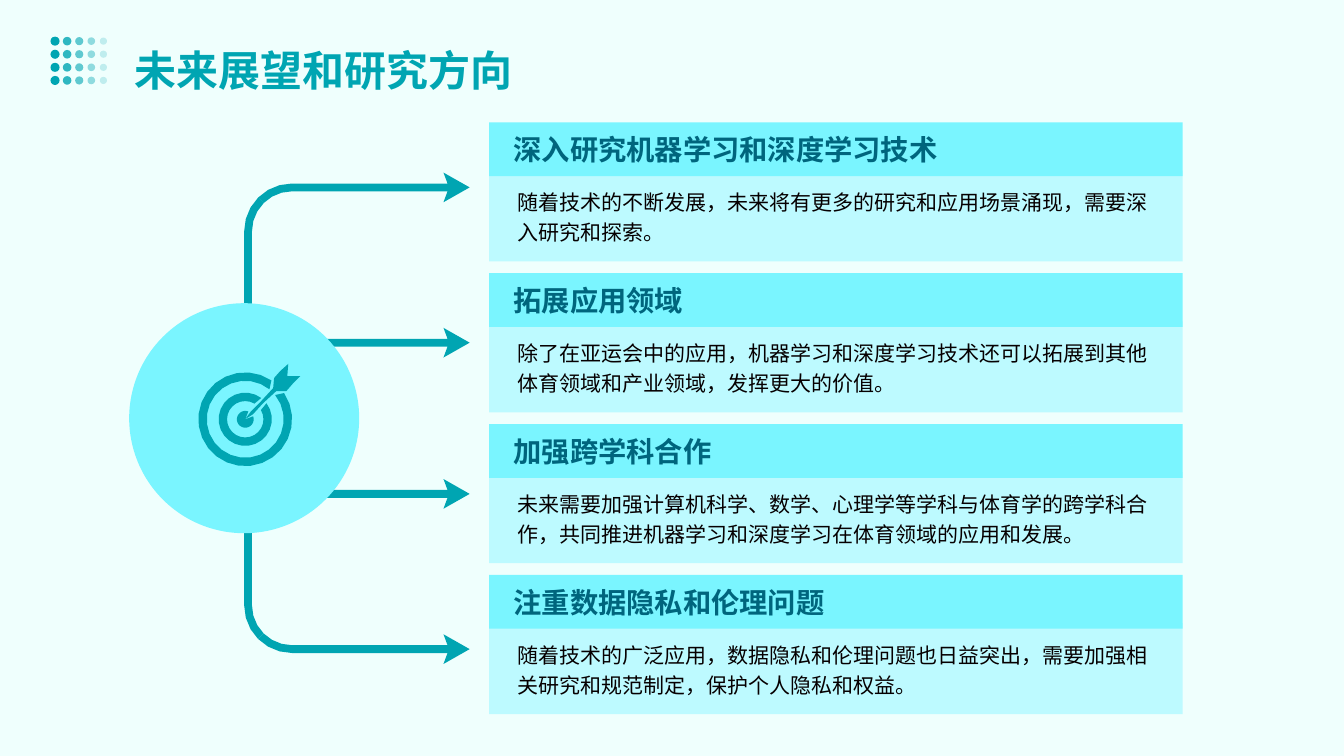
from math import cos, radians, sin

from lxml.etree import SubElement
from pptx import Presentation
from pptx.dml.color import RGBColor
from pptx.enum.shapes import MSO_SHAPE
from pptx.enum.text import MSO_ANCHOR
from pptx.oxml.ns import qn
from pptx.util import Pt

TITLE = "未来展望和研究方向"
DIRECTIONS = [
    ("深入研究机器学习和深度学习技术",
     "随着技术的不断发展，未来将有更多的研究和应用场景涌现，需要深入研究和探索。"),
    ("拓展应用领域",
     "除了在亚运会中的应用，机器学习和深度学习技术还可以拓展到其他体育领域和产业领域，发挥更大的价值。"),
    ("加强跨学科合作",
     "未来需要加强计算机科学、数学、心理学等学科与体育学的跨学科合作，共同推进机器学习和深度学习在体育领域的应用和发展。"),
    ("注重数据隐私和伦理问题",
     "随着技术的广泛应用，数据隐私和伦理问题也日益突出，需要加强相关研究和规范制定，保护个人隐私和权益。"),
]
COLORS = {
    "background": "EFFFFD", "teal": "00A5B2", "bright": "7AF5FF",
    "pale": "BDFAFF", "heading": "00657D", "body": "060001",
}
FONT = "Noto Sans CJK SC"

# Arrows: centre heights, and for bent ones the height where the stem ends
STRAIGHT_ARROWS = [244.8, 352.8]
BENT_ARROWS = [(133.9, 253.4), (463.7, 344.2)]
ARROW_LEFT, NECK_X, BARB_X, TIP_X = 174.4, 319.7, 316.8, 335.5
HALF_SHAFT, HALF_HEAD, BEND_RADIUS = 2.8, 10.6, 31.4

# Target rings: outer radius, outer half gap, inner radius, inner half gap (degrees)
TARGET_CENTER = (175.2, 299.5)
TARGET_RINGS = [(19, 8, 13, 14.5), (6, 24, 0, 0), (33.5, 11, 27.5, 6)]
GAP_ANGLE = -45
ARC_STEP = 15
DART = [(205.2, 268.6), (205.9, 259.9), (200.2, 265), (195.8, 270), (195.1, 277.2),
        (186.5, 286.6), (179.3, 293.8), (175, 299.5), (180.7, 295.9), (187.9, 288),
        (197.3, 279.4), (204.5, 279.4), (209.5, 273.6), (214.6, 268.6)]

DOT_ROWS, DOT_COLUMNS = 4, 5
CARD_LEFT, CARD_TOP, CARD_WIDTH, CARD_PITCH = 349.4, 87.4, 495.4, 107.75
TEXT_LEFT = 361.7

prs = Presentation()
prs.slide_width, prs.slide_height = Pt(960), Pt(540)
slide = prs.slides.add_slide(prs.slide_layouts[6])
slide.background.fill.solid()
slide.background.fill.fore_color.rgb = RGBColor.from_string(COLORS["background"])


def paint(shape, color, opacity=100):
    shape.shadow.inherit = False
    shape.line.fill.background()
    shape.fill.solid()
    shape.fill.fore_color.rgb = RGBColor.from_string(COLORS[color])
    if opacity < 100:
        tint = shape.fill._xPr.find(".//" + qn("a:srgbClr"))
        SubElement(tint, qn("a:alpha"), val=str(opacity * 1000))


def add_preset(kind, left, top, width, height, color, opacity=100):
    shape = slide.shapes.add_shape(kind, Pt(left), Pt(top), Pt(width), Pt(height))
    paint(shape, color, opacity)


def add_outline(points, color="teal"):
    start, *rest = [(Pt(x), Pt(y)) for x, y in points]
    builder = slide.shapes.build_freeform(*start)
    builder.add_line_segments(rest, close=True)
    paint(builder.convert_to_shape(), color)


def add_text(text, left, top, width, height, *, size, color, bold=False,
             spacing=1.2, anchor=MSO_ANCHOR.TOP, insets=(5, 3, 5, 3)):
    box = slide.shapes.add_textbox(Pt(left), Pt(top), Pt(width), Pt(height))
    frame = box.text_frame
    frame.word_wrap = True
    frame.vertical_anchor = anchor
    (frame.margin_left, frame.margin_top,
     frame.margin_right, frame.margin_bottom) = map(Pt, insets)
    paragraph = frame.paragraphs[0]
    paragraph.line_spacing = spacing
    run = paragraph.add_run()
    run.text = text
    run.font.size, run.font.bold, run.font.name = Pt(size), bold, FONT
    run.font.color.rgb = RGBColor.from_string(COLORS[color])
    SubElement(run.font._element, qn("a:ea"), typeface=FONT)


def arc(center, radius, start, end):
    """Points along a circle; a zero radius gives the centre alone."""
    if radius == 0:
        return [center]
    steps = round(abs(end - start) / ARC_STEP)
    angles = [radians(start + (end - start) * i / steps) for i in range(steps + 1)]
    return [(center[0] + radius * cos(a), center[1] + radius * sin(a)) for a in angles]


def arrow_head(y, side):
    """Head points, beginning on the given side (-1 above, 1 below) of the shaft."""
    return [(NECK_X, y + side * HALF_SHAFT), (BARB_X, y + side * HALF_HEAD), (TIP_X, y),
            (BARB_X, y - side * HALF_HEAD), (NECK_X, y - side * HALF_SHAFT)]


for y in STRAIGHT_ARROWS:
    add_outline([(ARROW_LEFT, y - HALF_SHAFT), *arrow_head(y, -1),
                 (ARROW_LEFT, y + HALF_SHAFT)])

for y, stem_end in BENT_ARROWS:
    side = -1 if y < stem_end else 1
    outer, inner = BEND_RADIUS + HALF_SHAFT, BEND_RADIUS - HALF_SHAFT
    bend = (ARROW_LEFT + outer, y - side * BEND_RADIUS)
    middle, corner = 180 - side * 45, 180 - side * 90
    add_outline([(ARROW_LEFT, stem_end), *arc(bend, outer, 180, middle),
                 *arc(bend, inner, middle, 180),
                 (ARROW_LEFT + 2 * HALF_SHAFT, stem_end)])
    add_outline([*arc(bend, outer, middle, corner), *arrow_head(y, side),
                 *arc(bend, inner, corner, middle)])

add_preset(MSO_SHAPE.OVAL, 92.3, 216.6, 164.3, 164.3, "bright")
for outer, outer_gap, inner, inner_gap in TARGET_RINGS:
    first, last = GAP_ANGLE, GAP_ANGLE + 360
    add_outline(arc(TARGET_CENTER, outer, first + outer_gap, last - outer_gap)
                + arc(TARGET_CENTER, inner, last - inner_gap, first + inner_gap))
add_outline(DART)

for row in range(DOT_ROWS):
    for column in range(DOT_COLUMNS):
        size = 6.5 - 0.35 * column
        add_preset(MSO_SHAPE.OVAL, 39.3 + 8.65 * column - size / 2,
                   29.4 + 9.36 * row - size / 2, size, size, "teal", 100 - 20 * column)

add_text(TITLE, 86.4, 7.2, 787.7, 72, size=30, color="teal", bold=True,
         spacing=1.4, insets=(10, 10, 4, 10))

for index, (heading, body) in enumerate(DIRECTIONS):
    top = CARD_TOP + CARD_PITCH * index
    body_top = top + 34.4
    add_preset(MSO_SHAPE.RECTANGLE, CARD_LEFT, body_top, CARD_WIDTH, 65, "pale")
    add_preset(MSO_SHAPE.RECTANGLE, CARD_LEFT, top, CARD_WIDTH, 38.4, "bright")
    add_text(heading, TEXT_LEFT, top - 0.5, 458.6, 38.9, size=20.2, color="heading",
             bold=True, insets=(5.3, 2.7, 5, 3))
    add_text(body, TEXT_LEFT, body_top, 465.1, 63.4, size=15, color="body",
             anchor=MSO_ANCHOR.MIDDLE, insets=(7.8, 3, 5, 3))

prs.save("out.pptx")
